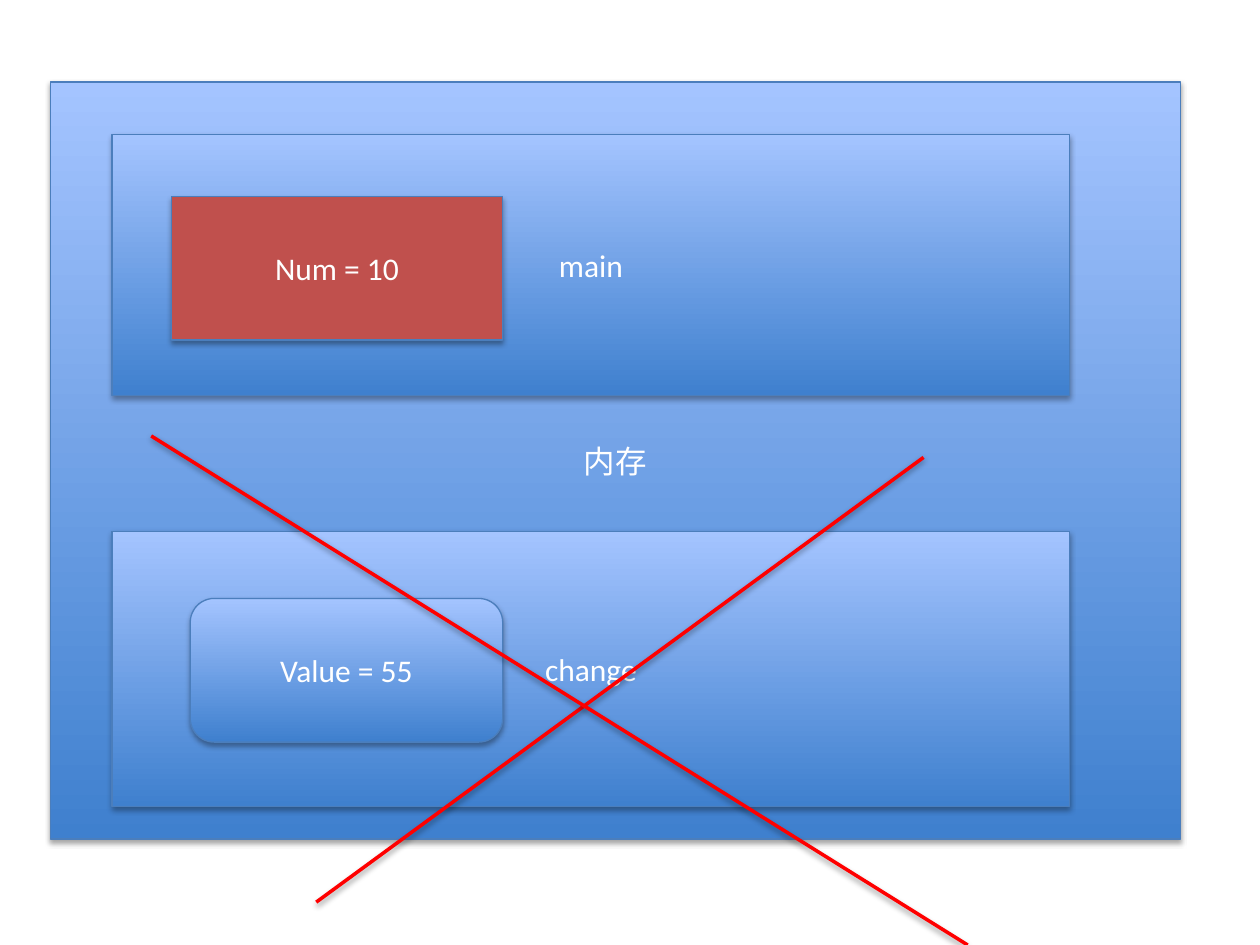
from lxml.etree import SubElement
from pptx import Presentation
from pptx.dml.color import RGBColor
from pptx.enum.shapes import MSO_CONNECTOR, MSO_SHAPE
from pptx.enum.text import MSO_ANCHOR, PP_ALIGN
from pptx.oxml.ns import qn
from pptx.util import Inches, Pt

RECTANGLE, ROUNDED = MSO_SHAPE.RECTANGLE, MSO_SHAPE.ROUNDED_RECTANGLE
BLUE_GRADIENT = ("3F80CE", "A4C4FF")  # bottom, top
OUTLINE, RED, CROSS_RED, WHITE = "4B7EBC", "C0504D", "FF0000", "FFFFFF"

FRAME_LEFT, FRAME_WIDTH = 0.89, 7.6
VARIABLE_RIGHT, VARIABLE_HEIGHT = 3.99, 1.14

# text, preset, left, top, width, height, fill; back to front
BOXES = [
    ("内存", RECTANGLE, 0.4, 0.65, 8.97, 6.01, BLUE_GRADIENT),
    ("main", RECTANGLE, FRAME_LEFT, 1.07, FRAME_WIDTH, 2.07, BLUE_GRADIENT),
    ("Num = 10", RECTANGLE, 1.36, 1.56, VARIABLE_RIGHT - 1.36, VARIABLE_HEIGHT, RED),
    ("change", RECTANGLE, FRAME_LEFT, 4.22, FRAME_WIDTH, 2.18, BLUE_GRADIENT),
    ("Value = 55", ROUNDED, 1.51, 4.75, VARIABLE_RIGHT - 1.51, VARIABLE_HEIGHT,
     BLUE_GRADIENT),
]
# x and y of the start, then of the end
CROSS_LINES = [(7.33, 3.63, 2.51, 7.16), (1.2, 3.46, 7.68, 7.5)]


def color(hex_string):
    return RGBColor.from_string(hex_string)


def add_shadow(shape, distance, opacity):
    """Drop a soft black shadow straight down; distance in points, opacity in percent."""
    effects = SubElement(shape._element.spPr, qn("a:effectLst"))
    shadow = SubElement(effects, qn("a:outerShdw"), blurRad=str(Pt(3.1)),
                        dist=str(Pt(distance)), dir="5400000", rotWithShape="0")
    black = SubElement(shadow, qn("a:srgbClr"), val="000000")
    SubElement(black, qn("a:alpha"), val=str(opacity * 1000))


def set_line(shape, hex_string, width):
    shape.line.color.rgb = color(hex_string)
    shape.line.width = Pt(width)


def set_fill(shape, fill):
    if isinstance(fill, str):
        shape.fill.solid()
        shape.fill.fore_color.rgb = color(fill)
        return
    shape.fill.gradient()
    shape.fill.gradient_angle = 90
    for stop, position, hex_string in zip(shape.fill.gradient_stops, (0, 1), fill):
        stop.position = position
        stop.color.rgb = color(hex_string)


def add_box(slide, text, preset, left, top, width, height, fill):
    shape = slide.shapes.add_shape(preset, *map(Inches, (left, top, width, height)))
    set_fill(shape, fill)
    set_line(shape, OUTLINE, 0.75)
    add_shadow(shape, distance=1.8, opacity=35)
    frame = shape.text_frame
    frame.text = text
    frame.vertical_anchor = MSO_ANCHOR.MIDDLE
    paragraph = frame.paragraphs[0]
    paragraph.alignment = PP_ALIGN.CENTER
    paragraph.font.name = "Calibri"
    paragraph.font.size = Pt(18)
    paragraph.font.color.rgb = color(WHITE)


def add_cross_line(slide, ends):
    line = slide.shapes.add_connector(MSO_CONNECTOR.STRAIGHT, *map(Inches, ends))
    set_line(line, CROSS_RED, 2)
    add_shadow(line, distance=1.6, opacity=38)


def main():
    presentation = Presentation()
    presentation.slide_width, presentation.slide_height = Inches(10), Inches(7.5)
    slide = presentation.slides.add_slide(presentation.slide_layouts[6])
    for box in BOXES:
        add_box(slide, *box)
    for ends in CROSS_LINES:
        add_cross_line(slide, ends)
    presentation.save("out.pptx")


if __name__ == "__main__":
    main()
